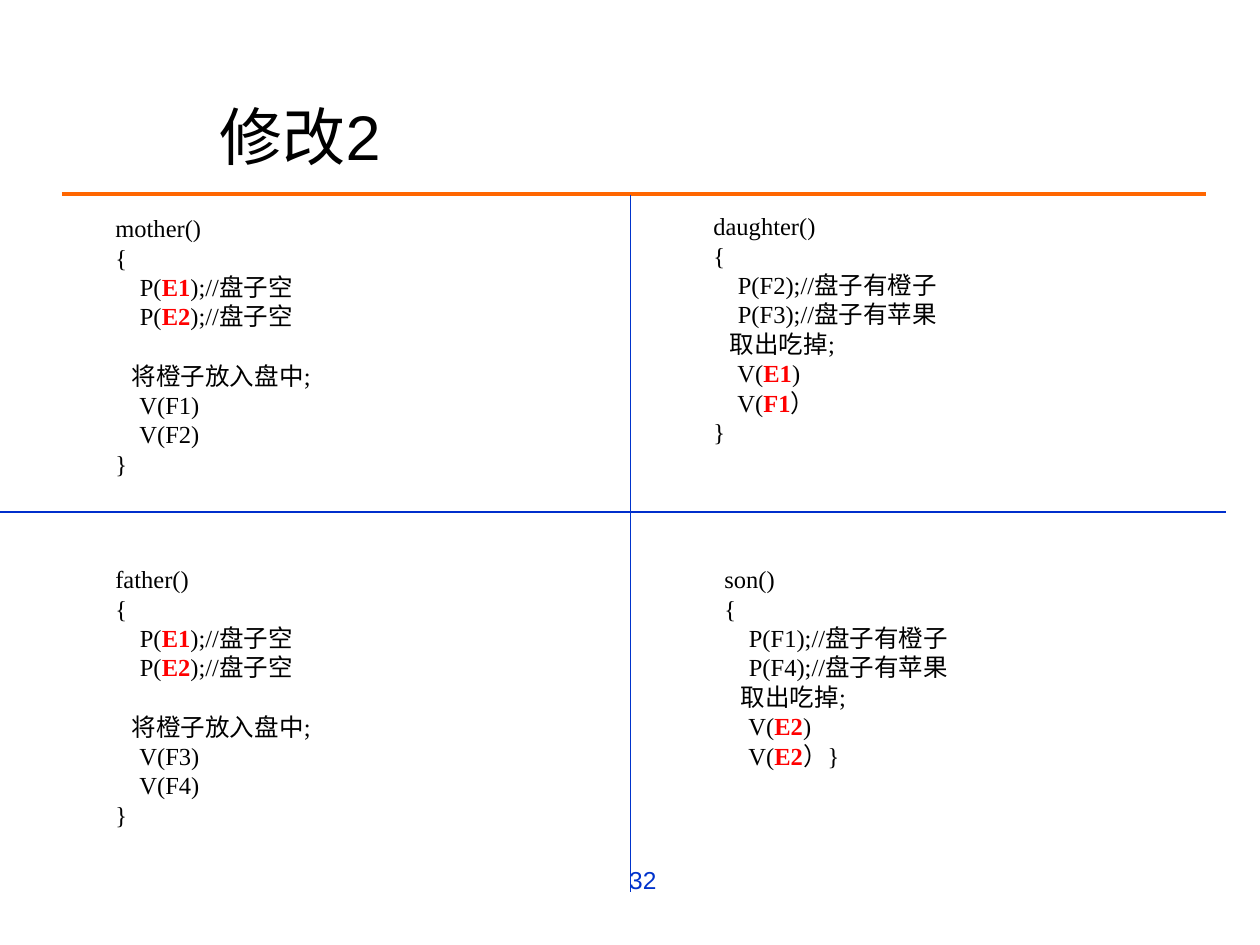
import pptx
import pptx.util
import pptx.dml.color
import pptx.enum.shapes
import pptx.enum.text
import pptx.oxml.ns
import lxml.etree

PX = 914400 / 126  # EMU in one px
BLACK = pptx.dml.color.RGBColor(0x00, 0x00, 0x00)
RED = pptx.dml.color.RGBColor(0xFF, 0x00, 0x00)
BLUE = pptx.dml.color.RGBColor(0x00, 0x33, 0xCC)
DEEP_BLUE = pptx.dml.color.RGBColor(0x00, 0x2F, 0xCC)
ORANGE = pptx.dml.color.RGBColor(0xFF, 0x66, 0x00)


def px(*lengths):
    return [pptx.util.Emu(round(length * PX)) for length in lengths]


def write_text(shape, text, size=14, font="Times New Roman", color=BLACK,
               align=pptx.enum.text.PP_ALIGN.LEFT,
               anchor=pptx.enum.text.MSO_ANCHOR.TOP,
               fit=pptx.enum.text.MSO_AUTO_SIZE.NONE):
    """Words between asterisks turn bold red; an empty line becomes a gap."""
    frame = shape.text_frame
    frame.word_wrap = True
    frame.auto_size = fit
    frame.vertical_anchor = anchor
    paragraph, gap = frame.paragraphs[0], 0
    for number, line in enumerate(text.split("\n")):
        if not line:
            gap = 17
            continue
        if number:
            paragraph = frame.add_paragraph()
        paragraph.alignment = align
        paragraph.space_before = pptx.util.Pt(gap)
        gap = 0
        for position, part in enumerate(line.split("*")):
            if part:
                marked = position % 2 == 1
                run = paragraph.add_run()
                run.text = part
                run.font.size = pptx.util.Pt(size)
                run.font.name = font
                run.font.bold = marked
                run.font.color.rgb = RED if marked else color


presentation = pptx.Presentation()
presentation.slide_width, presentation.slide_height = px(1260, 945)
slide = presentation.slides.add_slide(presentation.slide_layouts[5])

# Title
title = slide.shapes.title
title.left, title.top, title.width, title.height = px(207, 95, 915, 81)
write_text(title, "修改2", size=36, font="Arial",
           anchor=pptx.enum.text.MSO_ANCHOR.MIDDLE)

# Page number
page_number = slide.shapes.add_textbox(*px(353, 859, 316, 66))
write_text(page_number, "32", font="Arial", color=BLUE,
           align=pptx.enum.text.PP_ALIGN.RIGHT)

# Code of the four processes
PARENT = """{name}()
{{
    P(*E1*);//盘子空
    P(*E2*);//盘子空

   将橙子放入盘中;
    V({first})
    V({second})
}}"""
CHILD = """{name}()
{{
    P({orange});//盘子有橙子
    P({apple});//盘子有苹果
   取出吃掉;
    V(*{first}*)
    V(*{second}*）{end}"""

processes = [
    (103, 207, PARENT.format(name="mother", first="F1", second="F2")),
    (701, 205, CHILD.format(name="daughter", orange="F2", apple="F3",
                            first="E1", second="F1", end="\n}")),
    (103, 558, PARENT.format(name="father", first="F3", second="F4")),
    (712, 558, CHILD.format(name="son", orange="F1", apple="F4",
                            first="E2", second="E2", end="}")),
]
for left, top, code in processes:
    line_count = code.count("\n") + 1
    process = slide.shapes.add_textbox(*px(left, top, 304, 13 + 29.4 * line_count))
    write_text(process, code, fit=pptx.enum.text.MSO_AUTO_SIZE.SHAPE_TO_FIT_TEXT)

# Title rule and the lines between the processes
rules = [
    (62, 194, 1206, 194, ORANGE, 2.25),
    (0, 512, 1226, 512, DEEP_BLUE, 0.75),
    (630, 195, 630, 892, BLUE, 0.5),
]
for x1, y1, x2, y2, color, weight in rules:
    rule = slide.shapes.add_connector(
        pptx.enum.shapes.MSO_CONNECTOR.STRAIGHT, *px(x1, y1, x2, y2))
    rule.line.color.rgb = color
    rule.line.width = pptx.util.Pt(weight)
    lxml.etree.SubElement(rule._element.spPr, pptx.oxml.ns.qn("a:effectLst"))

presentation.save("out.pptx")
